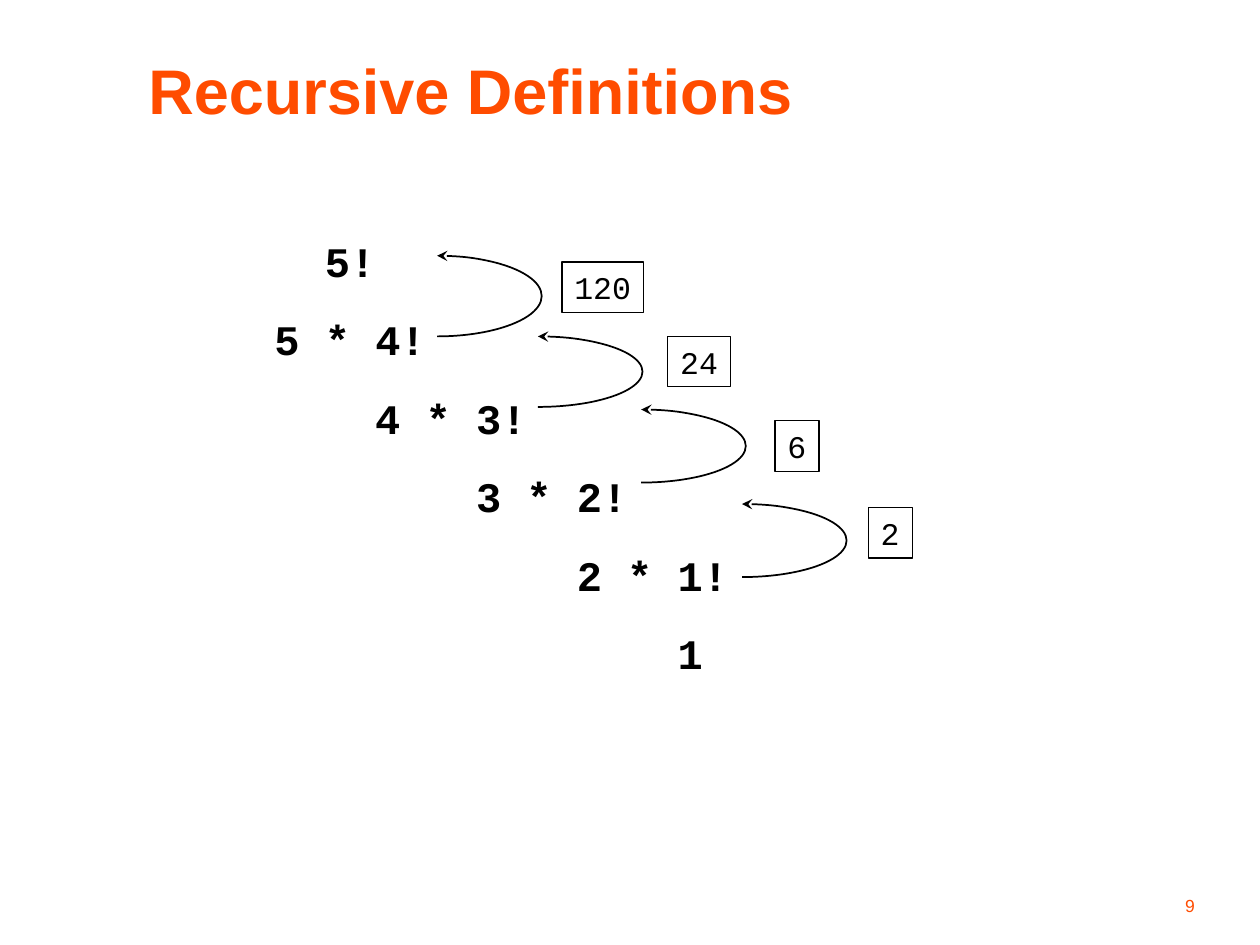
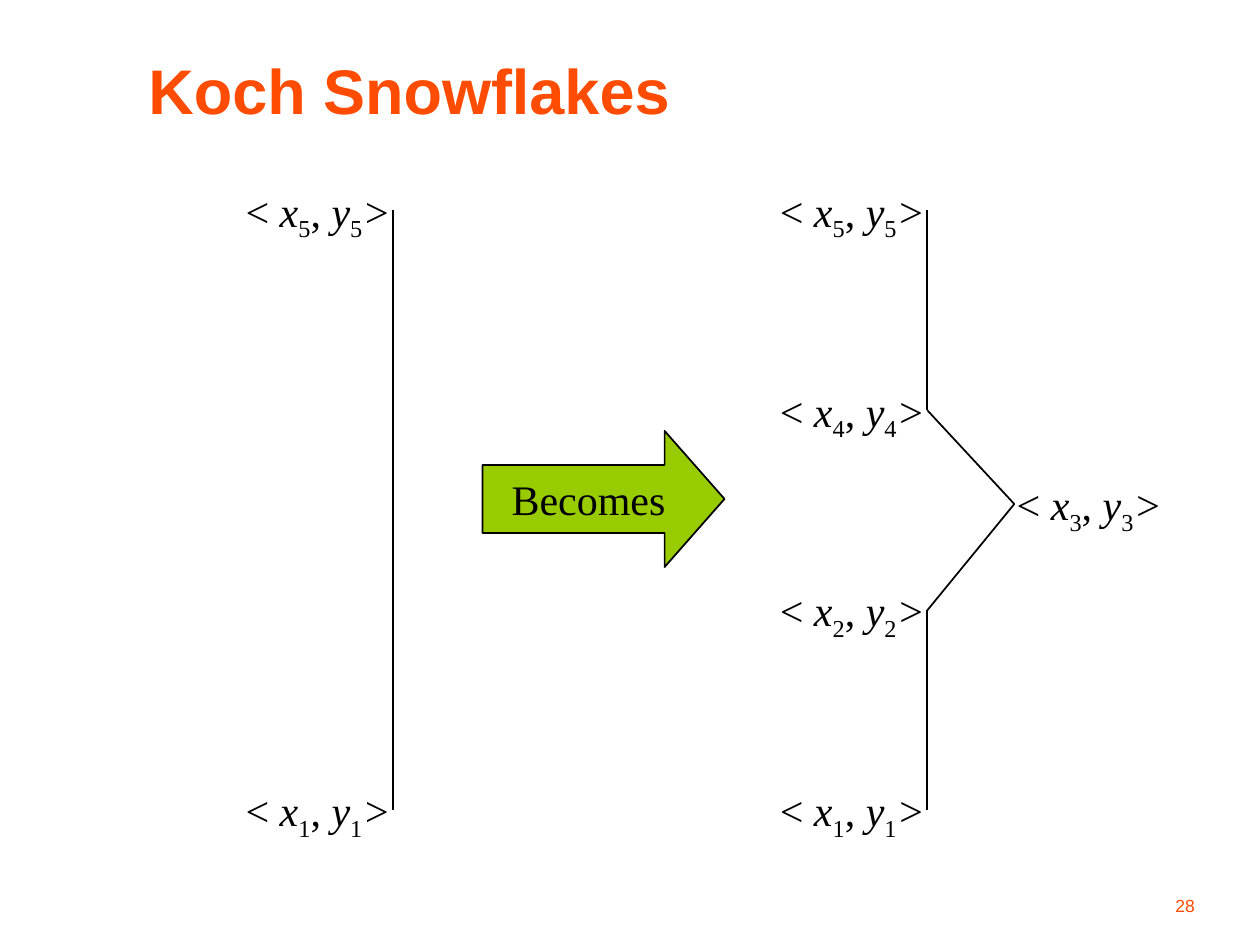
from lxml import etree
from pptx import Presentation
from pptx.dml.color import RGBColor
from pptx.enum import shapes, text
from pptx.oxml import ns
from pptx.util import Inches, Pt

# Shared look
ORANGE, BLACK, GREEN, WHITE = "FF4C00", "000000", "99CC00", "FFFFFF"
SANS, MONO, SERIF = "Arial", "Courier New", "Times New Roman"
TITLE_BOX = (1.08, 0.33, 8.67, 0.75)
NUMBER_BOX = (7.5, 6.9, 2.08, 0.42)


def colour(value):
    return RGBColor.from_string(value)


def lengths(box):
    return [Inches(value) for value in box]


def add_span(para, words, size, font, ink=BLACK, bold=False, italic=False, baseline=0):
    span = para.add_run()
    span.text = words
    span.font.size, span.font.name = Pt(size), font
    span.font.bold, span.font.italic = bold, italic
    span.font.color.rgb = colour(ink)
    if baseline:
        span.font._element.set("baseline", str(baseline * 1000))


def set_frame(shape, anchor=text.MSO_ANCHOR.TOP, wrap=False):
    frame = shape.text_frame
    frame.word_wrap, frame.vertical_anchor = wrap, anchor
    frame.margin_left = frame.margin_right = Inches(0.1)
    frame.margin_top = frame.margin_bottom = Inches(0.05)
    return frame


def write(shape, words, align=text.PP_ALIGN.LEFT, anchor=text.MSO_ANCHOR.TOP,
          wrap=False, **style):
    para = set_frame(shape, anchor, wrap).paragraphs[0]
    para.alignment = align
    add_span(para, words, **style)


def add_outlined(page, kind, box, fill=None, width=1):
    shape = page.shapes.add_shape(kind, *lengths(box))
    shape.shadow.inherit = False
    if fill:
        shape.fill.solid()
        shape.fill.fore_color.rgb = colour(fill)
    else:
        shape.fill.background()
    shape.line.color.rgb = colour(BLACK)
    shape.line.width = Pt(width)
    return shape


def add_line(page, start, end):
    line = page.shapes.add_connector(shapes.MSO_CONNECTOR.STRAIGHT, *lengths(start + end))
    line.line.color.rgb = colour(BLACK)
    line.line.width = Pt(1)
    etree.SubElement(line._element.spPr, ns.qn("a:effectLst"))


def add_page(deck, title, number):
    page = deck.slides.add_slide(deck.slide_layouts[6])
    page.background.fill.solid()
    page.background.fill.fore_color.rgb = colour(WHITE)
    write(page.shapes.add_textbox(*lengths(TITLE_BOX)), title, wrap=True,
          anchor=text.MSO_ANCHOR.MIDDLE, size=36, font=SANS, ink=ORANGE, bold=True)
    write(page.shapes.add_textbox(*lengths(NUMBER_BOX)), str(number), wrap=True,
          align=text.PP_ALIGN.RIGHT, anchor=text.MSO_ANCHOR.BOTTOM,
          size=10, font=SANS, ink=ORANGE)
    return page


# Factorial slide
def add_expansion(page, box):
    """Each step is indented by a number of monospaced columns."""
    column = 0.2
    steps = [(7, "5!"), (5, "5 * 4!"), (9, "4 * 3!"),
             (13, "3 * 2!"), (17, "2 * 1!"), (21, "1")]
    frame = set_frame(page.shapes.add_textbox(*lengths(box)), wrap=True)
    for index, (indent, words) in enumerate(steps):
        para = frame.add_paragraph() if index else frame.paragraphs[0]
        para.space_after = Pt(16)
        para._p.get_or_add_pPr().set("marL", str(Inches(column * indent)))
        add_span(para, words, 24, MONO, bold=True)


def add_return_arrow(page, box):
    """Right half of an ellipse with its arrowhead at the top."""
    arrow = add_outlined(page, shapes.MSO_SHAPE.ARC, box)
    arrow.adjustments[0], arrow.adjustments[1] = 162, 54
    etree.SubElement(arrow.line._get_or_add_ln(), ns.qn("a:headEnd"), type="stealth")


def add_result(page, left, top, value):
    box = (left, top, 0.2 + 0.15 * len(value), 0.4)
    write(add_outlined(page, shapes.MSO_SHAPE.RECTANGLE, box, width=0.75), value,
          size=18, font=MONO)


def build_factorial(deck):
    page = add_page(deck, "Recursive Definitions", 9)
    add_expansion(page, (1.08, 1.82, 8.67, 4.93))
    # Arrow left, top and height, then the place and value of its result
    returns = [(2.64, 2.03, 0.64, 4.46, 2.08, "120"),
               (3.44, 2.67, 0.56, 5.3, 2.67, "24"),
               (4.26, 3.25, 0.58, 6.15, 3.34, "6"),
               (5.06, 4, 0.58, 6.89, 4.03, "2")]
    for left, top, height, result_left, result_top, value in returns:
        add_return_arrow(page, (left, top, 1.66, height))
        add_result(page, result_left, result_top, value)


# Koch slide
def add_point_label(page, point, index, on_right=False):
    left = point[0] - (0.08 if on_right else 1.27)
    label = page.shapes.add_textbox(*lengths((left, point[1] - 0.25, 1.35, 0.56)))
    para = set_frame(label).paragraphs[0]
    para.alignment = text.PP_ALIGN.CENTER
    for words, style in [("< ", {}), ("x", {"italic": True}), (index, {"baseline": -25}),
                         (", ", {}), ("y", {"italic": True}), (index, {"baseline": -25}),
                         (">", {"italic": True})]:
        add_span(para, str(words), 24, SERIF, **style)


def add_curve(page, points):
    """Joins the points in order; points maps an index to its place."""
    places = list(points.values())
    for start, end in zip(places, places[1:]):
        add_line(page, start, end)
    for index, point in points.items():
        add_point_label(page, point, index, on_right=index == 3)


def add_segment(page, box):
    left, top, _, height = box
    add_curve(page, {5: (left, top), 1: (left, top + height)})


def add_bent_segment(page, box):
    left, top, width, height = box
    third = height / 3
    add_curve(page, {5: (left, top), 4: (left, top + third),
                     3: (left + width, 4), 2: (left, top + 2 * third),
                     1: (left, top + height)})


def build_koch(deck):
    page = add_page(deck, "Koch Snowflakes", 28)
    add_segment(page, (3.12, 1.67, 0, 4.76))
    arrow = add_outlined(page, shapes.MSO_SHAPE.RIGHT_ARROW, (3.83, 3.42, 1.92, 1.08), GREEN)
    arrow.adjustments[1] = 0.44
    write(arrow, "Becomes", align=text.PP_ALIGN.CENTER, anchor=text.MSO_ANCHOR.MIDDLE,
          size=24, font=SERIF)
    add_bent_segment(page, (7.36, 1.67, 0.69, 4.76))


def main():
    deck = Presentation()
    deck.slide_width, deck.slide_height = Inches(10), Inches(7.5)
    build_factorial(deck)
    build_koch(deck)
    deck.save("out.pptx")


if __name__ == "__main__":
    main()
